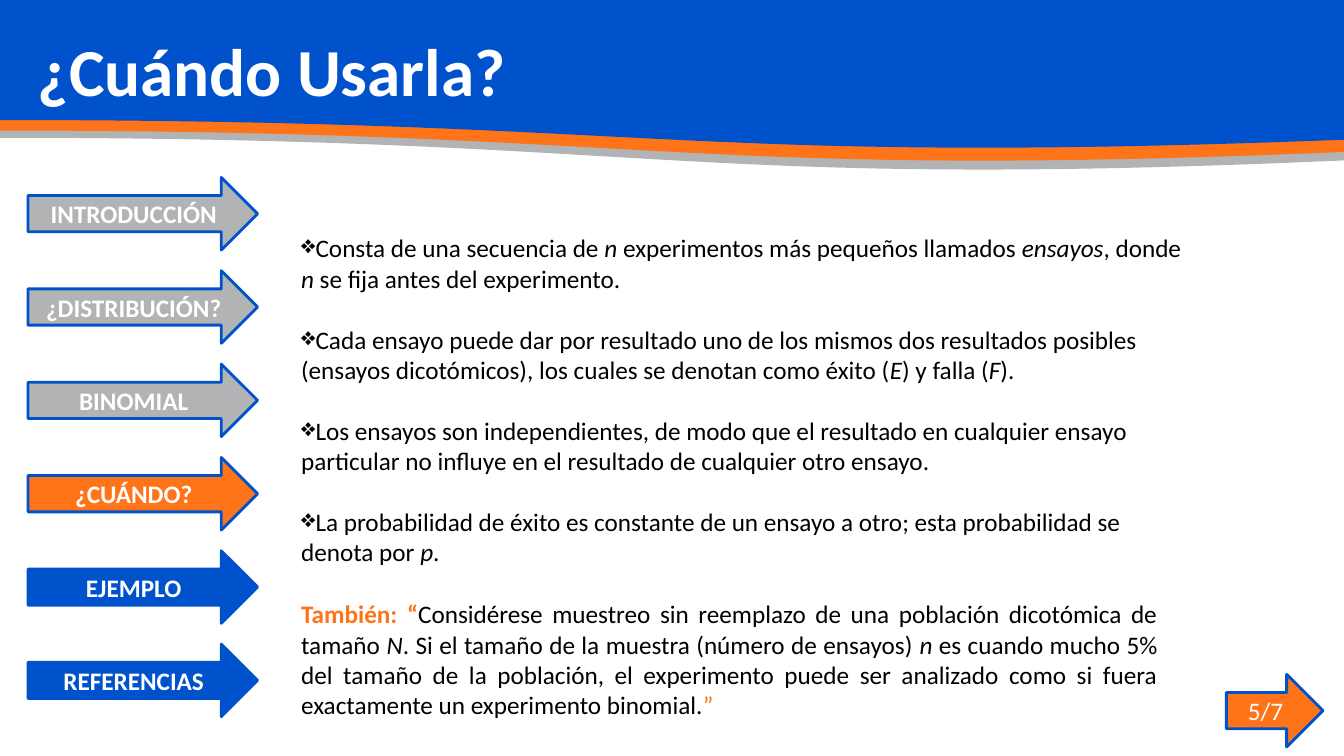
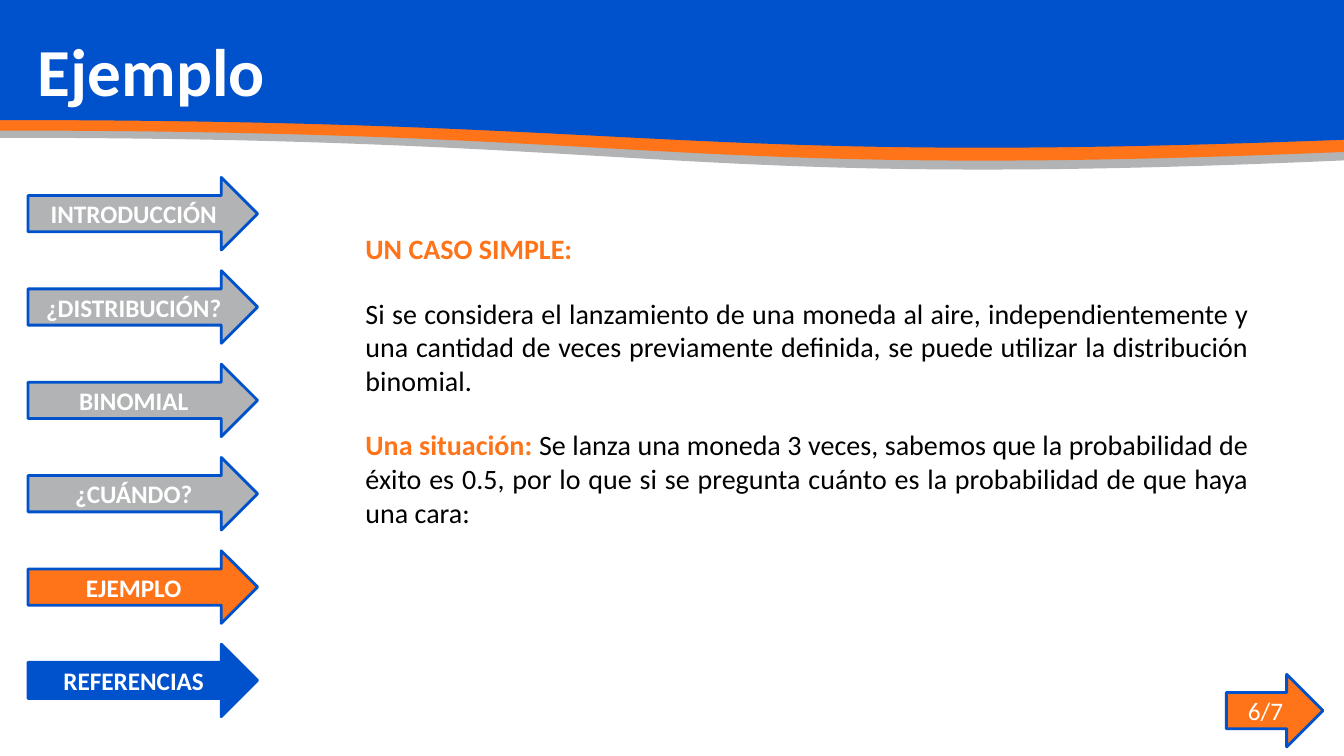
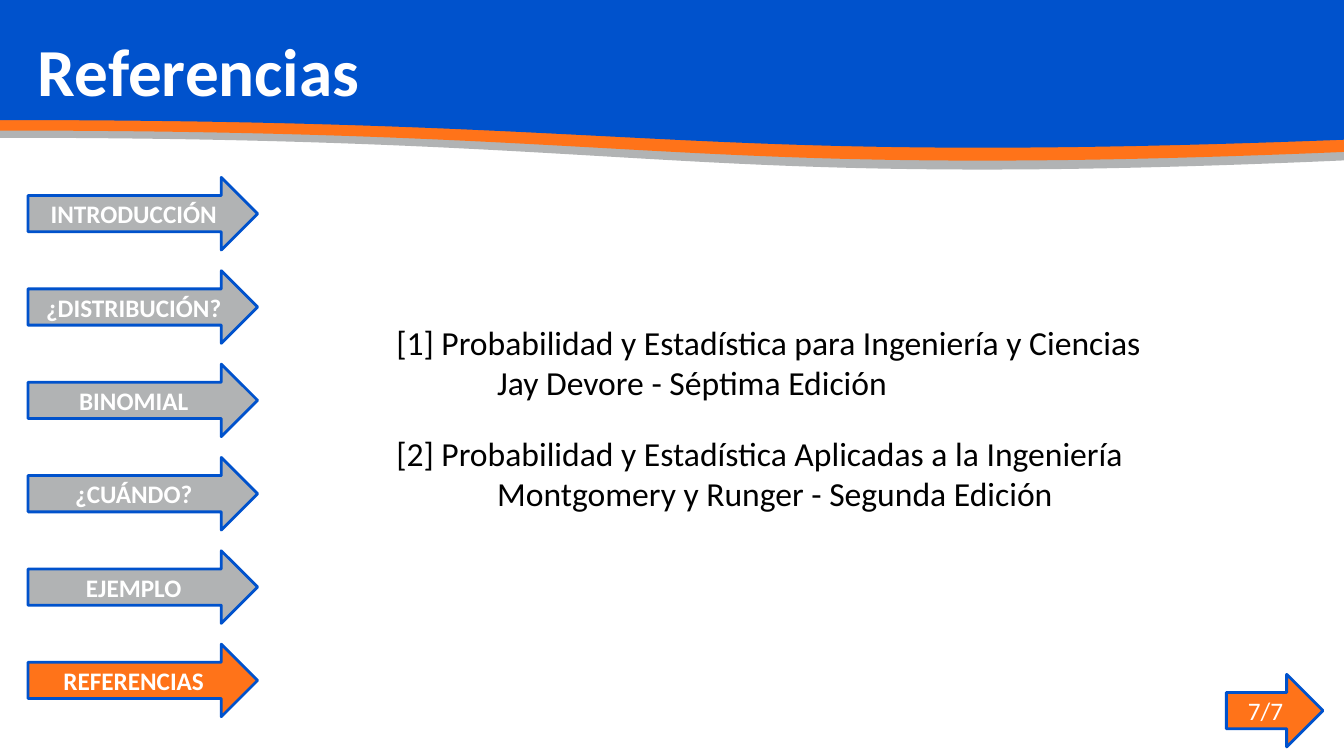
from dataclasses import dataclass
from typing import NamedTuple

from lxml.etree import SubElement
from pptx import Presentation
from pptx.dml.color import RGBColor
from pptx.enum.shapes import MSO_SHAPE
from pptx.enum.text import MSO_ANCHOR, PP_ALIGN
from pptx.oxml.ns import qn
from pptx.util import Inches, Pt


@dataclass(frozen=True)
class Theme:
    font: str = "Calibri"
    blue: str = "0052CC"
    orange: str = "FF7319"
    grey: str = "B1B3B4"
    white: str = "FFFFFF"
    black: str = "000000"
    title: int = 48
    label: int = 18
    body: int = 18
    example: int = 20
    reference: int = 24
    gap: int = 22
    line: int = 2


class Box(NamedTuple):
    """Left, top, width and height in grid columns and rows."""
    col: float
    row: float
    cols: float
    rows: float


@dataclass(frozen=True)
class Para:
    """Body paragraph; text between asterisks is italic, lead and tail are accented."""
    text: str = ""
    lead: str = ""
    tail: str = ""
    bullet: str = ""
    align: PP_ALIGN = PP_ALIGN.LEFT
    indent: float = 0
    gap: bool = False


class Block(NamedTuple):
    box: Box
    size: int
    paras: list[Para]


class Page(NamedTuple):
    title: str
    number: int
    section: int
    blocks: list[Block]


T = Theme()
W, H = 13.333, 7.5
COLS, ROWS = 48, 75
PAGES_TOTAL = 7

# Shared layout
BANDS = [(T.grey, 17), (T.orange, 16.1), (T.blue, 14.8)]
TITLE_BOX = Box(1, 1.2, 43.1, 10.2)
COUNTER_BOX = Box(43.8, 66.9, 3.45, 7.2)
SECTIONS = ["INTRODUCCIÓN", "¿DISTRIBUCIÓN?", "BINOMIAL", "¿CUÁNDO?", "EJEMPLO", "REFERENCIAS"]
NAV_FIRST, NAV_LAST = 17.6, 63.9
NAV_STEP = (NAV_LAST - NAV_FIRST) / (len(SECTIONS) - 1)

# Content
JUST = PP_ALIGN.JUSTIFY
CONDITIONS = [
    "Consta de una secuencia de *n *experimentos más pequeños llamados *ensayos*, donde "
    "*n *se fija antes del experimento.",
    "Cada ensayo puede dar por resultado uno de los mismos dos resultados posibles "
    "(ensayos dicotómicos), los cuales se denotan como éxito (*E*) y falla (*F*).",
    "Los ensayos son independientes, de modo que el resultado en cualquier ensayo "
    "particular no influye en el resultado de cualquier otro ensayo.",
    "La probabilidad de éxito es constante de un ensayo a otro; esta probabilidad se "
    "denota por *p*.",
]
REFERENCES = [
    ("[1] Probabilidad y Estadística para Ingeniería y Ciencias",
     "Jay Devore - Séptima Edición"),
    ("[2] Probabilidad y Estadística Aplicadas a la Ingeniería",
     "Montgomery y Runger - Segunda Edición"),
]
PAGES = [
    Page("¿Cuándo Usarla?", 5, 3, [
        Block(Box(10.4, 58.9, 31.3, 16), T.body, [
            Para("Considérese muestreo sin reemplazo de una población dicotómica de tamaño *N*. "
                 "Si el tamaño de la muestra (número de ensayos) *n *es cuando mucho 5% del "
                 "tamaño de la población, el experimento puede ser analizado como si fuera "
                 "exactamente un experimento binomial.",
                 lead="También: “", tail="”", align=JUST)]),
        Block(Box(10.4, 22.6, 32.65, 40), T.body,
              [Para(text, bullet="❖", gap=i > 0) for i, text in enumerate(CONDITIONS)]),
    ]),
    Page("Ejemplo", 6, 4, [
        Block(Box(12.7, 22.5, 32.25, 37), T.example, [
            Para(lead="UN CASO SIMPLE: ", align=JUST),
            Para("Si se considera el lanzamiento de una moneda al aire, independientemente y "
                 "una cantidad de veces previamente definida, se puede utilizar la "
                 "distribución binomial.", align=JUST, gap=True),
            Para("Se lanza una moneda 3 veces, sabemos que la probabilidad de éxito es 0.5, "
                 "por lo que si se pregunta cuánto es la probabilidad de que haya una cara:",
                 lead="Una situación: ", align=JUST, gap=True)]),
    ]),
    Page("Referencias", 7, 5, [
        Block(Box(13.8, 31.4, 34.2, 21), T.reference, [
            para for i, (work, authors) in enumerate(REFERENCES)
            for para in (Para(work, gap=i > 0), Para(authors, indent=1))]),
    ]),
]


def place(box: Box) -> list[int]:
    cw, rh = W / COLS, H / ROWS
    return [Inches(v) for v in (box.col * cw, box.row * rh, box.cols * cw, box.rows * rh)]


def add_run(p, text: str, *, size: int, color: str = T.black,
            bold: bool = False, italic: bool = False) -> None:
    if not text:
        return
    r = p.add_run()
    r.text = text
    f = r.font
    f.name, f.size, f.bold, f.italic = T.font, Pt(size), bold, italic
    f.color.rgb = RGBColor.from_string(color)


def add_preset(s, kind: MSO_SHAPE, box: Box, *, fill: str, line: str):
    sp = s.shapes.add_shape(kind, *place(box))
    sp.shadow.inherit = False
    sp.fill.solid()
    sp.fill.fore_color.rgb = RGBColor.from_string(fill)
    sp.line.color.rgb = RGBColor.from_string(line)
    sp.line.width = Pt(T.line)
    return sp


def add_arrow(s, box: Box, text: str, *, fill: str, bold: bool = True) -> None:
    sp = add_preset(s, MSO_SHAPE.RIGHT_ARROW, box, fill=fill, line=T.blue)
    tf = sp.text_frame
    tf.vertical_anchor = MSO_ANCHOR.MIDDLE
    p = tf.paragraphs[0]
    p.alignment = PP_ALIGN.CENTER
    add_run(p, text, size=T.label, color=T.white, bold=bold)


def add_text_frame(s, box: Box, *, anchor: MSO_ANCHOR = MSO_ANCHOR.TOP):
    tf = s.shapes.add_textbox(*place(box)).text_frame
    tf.word_wrap = True
    tf.vertical_anchor = anchor
    return tf


def add_bullet(p, char: str) -> None:
    pPr = p._p.get_or_add_pPr()
    SubElement(SubElement(pPr, qn("a:buClr")), qn("a:srgbClr"), val=T.black)
    SubElement(pPr, qn("a:buChar"), char=char)


def add_block(s, block: Block) -> None:
    tf = add_text_frame(s, block.box)
    for i, para in enumerate(block.paras):
        p = tf.add_paragraph() if i else tf.paragraphs[0]
        p.alignment = para.align
        if para.gap:
            p.space_before = Pt(T.gap)
        if para.indent:
            p._p.get_or_add_pPr().set("marL", str(Inches(para.indent)))
        if para.bullet:
            add_bullet(p, para.bullet)
        add_run(p, para.lead, size=block.size, color=T.orange, bold=True)
        for j, part in enumerate(para.text.split("*")):
            add_run(p, part, size=block.size, italic=j % 2 == 1)
        add_run(p, para.tail, size=block.size, color=T.orange)


def add_frame(s, page: Page) -> None:
    # Wavy header bands
    for color, rows in BANDS:
        sp = add_preset(s, MSO_SHAPE.FLOWCHART_DOCUMENT, Box(0, -0.1, COLS, rows),
                        fill=color, line=color)
        sp._element.spPr.find(qn("a:xfrm")).set("flipH", "1")

    # Page counter and title
    add_arrow(s, COUNTER_BOX, f"{page.number}/{PAGES_TOTAL}", fill=T.orange, bold=False)
    tf = add_text_frame(s, TITLE_BOX, anchor=MSO_ANCHOR.BOTTOM)
    add_run(tf.paragraphs[0], page.title, size=T.title, color=T.white, bold=True)

    # Section arrows: grey when done, orange when current, blue when ahead
    for i, name in enumerate(SECTIONS):
        fill = T.grey if i < page.section else T.orange if i == page.section else T.blue
        add_arrow(s, Box(1, NAV_FIRST + i * NAV_STEP, 8.2, 7.2), name, fill=fill)


def main() -> None:
    prs = Presentation()
    prs.slide_width, prs.slide_height = Inches(W), Inches(H)
    for page in PAGES:
        s = prs.slides.add_slide(prs.slide_layouts[6])
        add_frame(s, page)
        for block in page.blocks:
            add_block(s, block)
    prs.save("out.pptx")


if __name__ == "__main__":
    main()
